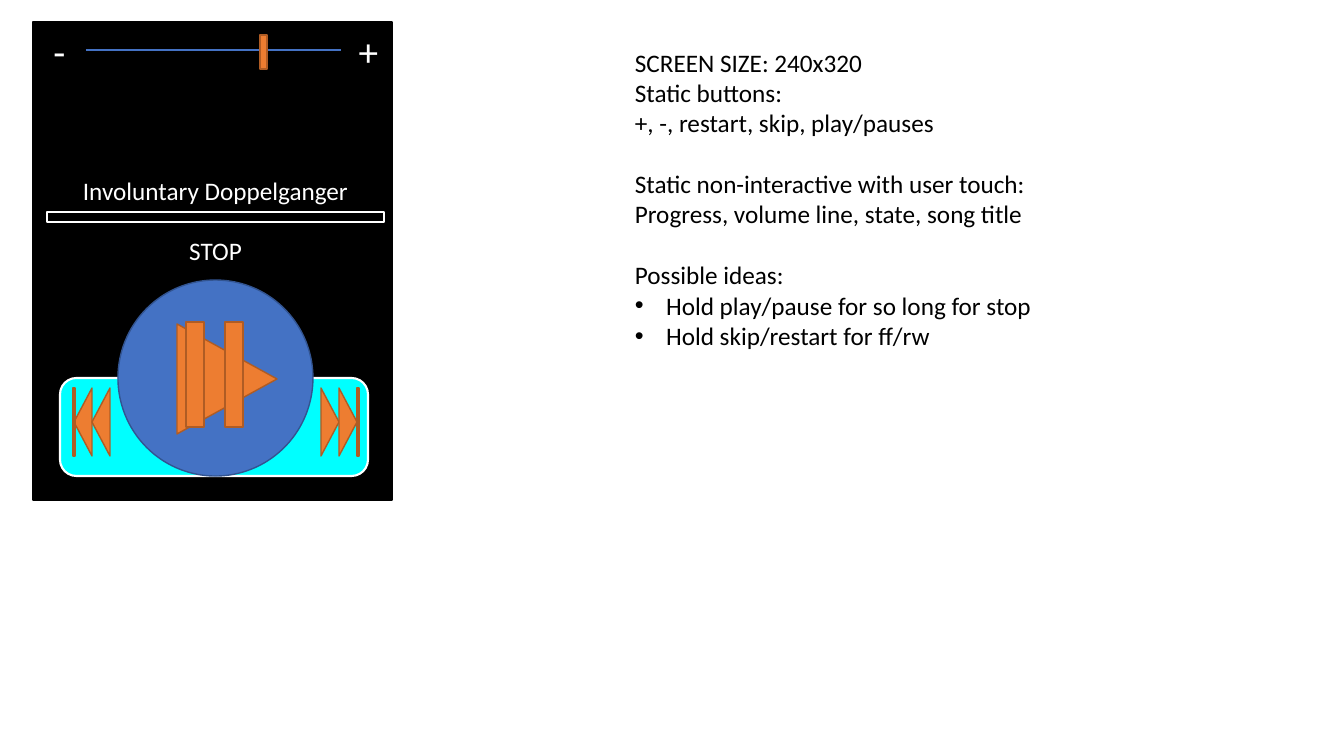
from lxml import etree
from pptx import Presentation, util as u
from pptx.dml.color import RGBColor
from pptx.enum import shapes, text
from pptx.oxml import ns

PX = 914400 / 100.8
BLACK = RGBColor(0x00, 0x00, 0x00)
WHITE = RGBColor(0xFF, 0xFF, 0xFF)
CYAN = RGBColor(0x00, 0xFF, 0xFF)
BLUE = RGBColor(0x44, 0x72, 0xC4)
DARK_BLUE = RGBColor(0x32, 0x54, 0x91)
ORANGE = RGBColor(0xED, 0x7D, 0x31)
BROWN = RGBColor(0xAF, 0x5C, 0x24)
KIND = shapes.MSO_SHAPE


def px(*values):
    return [u.Emu(round(value * PX)) for value in values]


class Board:
    """Holds the font and the current slide, and draws in pixels."""
    font = "Calibri"

    def __init__(self, slide):
        self.slide = slide

    def shape(self, kind, box, fill=ORANGE, line=BROWN, width=1, turn=0, group=None):
        parent = group or self.slide
        shape = parent.shapes.add_shape(kind, *px(*box))
        shape.shadow.inherit = False
        shape.rotation = turn
        if fill is None:
            shape.fill.background()
        else:
            shape.fill.solid()
            shape.fill.fore_color.rgb = fill
        shape.line.color.rgb = line
        shape.line.width = u.Pt(width)
        return shape

    def arrow(self, box, turn, group=None):
        """Triangle filling the box, turned to point right (90) or left (270)."""
        x, y, w, h = box
        upright = (x + (w - h) / 2, y + (h - w) / 2, h, w)
        return self.shape(KIND.ISOSCELES_TRIANGLE, upright, turn=turn, group=group)

    def line(self, start, end, color, width):
        line = self.slide.shapes.add_connector(
            shapes.MSO_CONNECTOR.STRAIGHT, *px(*start, *end))
        line.line.color.rgb = color
        line.line.width = u.Pt(width)
        etree.SubElement(line._element.spPr, ns.qn("a:effectLst"))

    def text(self, box, lines, size=18, color=WHITE, align=text.PP_ALIGN.CENTER):
        frame = self.slide.shapes.add_textbox(*px(*box)).text_frame
        frame.word_wrap = True
        frame.text = "\n".join(lines)
        style = {"name": self.font, "size": u.Pt(size)}
        for paragraph in frame.paragraphs:
            paragraph.alignment = align
            for run in paragraph.runs:
                for key, value in style.items():
                    setattr(run.font, key, value)
                run.font.color.rgb = color
        return frame.paragraphs

    def bullet(self, paragraph, indent):
        props = paragraph._p.get_or_add_pPr()
        for key, value in {"marL": indent, "indent": -indent}.items():
            props.set(key, str(value))
        etree.SubElement(props, ns.qn("a:buFont")).set("typeface", "Arial")
        etree.SubElement(props, ns.qn("a:buChar")).set("char", "•")


deck = Presentation()
deck.slide_width, deck.slide_height = px(1344, 756)
board = Board(deck.slides.add_slide(deck.slide_layouts[6]))

# Player screen with its button panel
board.shape(KIND.RECTANGLE, (33, 22, 359, 478), BLACK, BLACK)
board.shape(KIND.ROUNDED_RECTANGLE, (60, 378, 308, 98), CYAN, WHITE, 1.5)
board.shape(KIND.OVAL, (118, 280, 195, 196), BLUE, DARK_BLUE)

# Song title and progress
board.text((47, 170, 337, 40), ["Involuntary Doppelganger"])
board.shape(KIND.RECTANGLE, (47, 212, 337, 10), None, WHITE)

# Volume slider
board.line((86, 50), (341, 50), BLUE, 1.5)
for sign, left in (("+", 342), ("-", 33)):
    board.text((left, 22, 53, 57), [sign], 28)
board.shape(KIND.RECTANGLE, (260, 35, 7, 34))

# Design notes
notes = board.text((625, 42, 509, 316), [
    "SCREEN SIZE: 240x320",
    "Static buttons:",
    "+, -, restart, skip, play/pauses",
    "Static non-interactive with user touch:",
    "Progress, volume line, state, song title",
    "Possible ideas:",
    "Hold play/pause for so long for stop",
    "Hold skip/restart for ff/rw",
], color=BLACK, align=text.PP_ALIGN.LEFT)
for section in (notes[3], notes[5]):
    section.space_before = u.Pt(22)
for idea in notes[6:]:
    board.bullet(idea, u.Inches(0.31))

# Playback state
board.text((47, 230, 337, 40), ["STOP"])

# Play and pause
board.arrow((177, 324, 100, 110), 90)
pause = board.slide.shapes.add_group_shape()
for left in (186, 225):
    board.shape(KIND.RECTANGLE, (left, 322, 18, 105), group=pause)

# Skip and restart: two arrows and a stop bar each
for first_arrow, stop_bar, turn in ((321, 357, 90), (74, 73, 270)):
    button = board.slide.shapes.add_group_shape()
    for step in range(2):
        board.arrow((first_arrow + 18 * step, 388, 18, 68), turn, button)
    board.shape(KIND.RECTANGLE, (stop_bar, 388, 2, 68), group=button)

deck.save("out.pptx")
